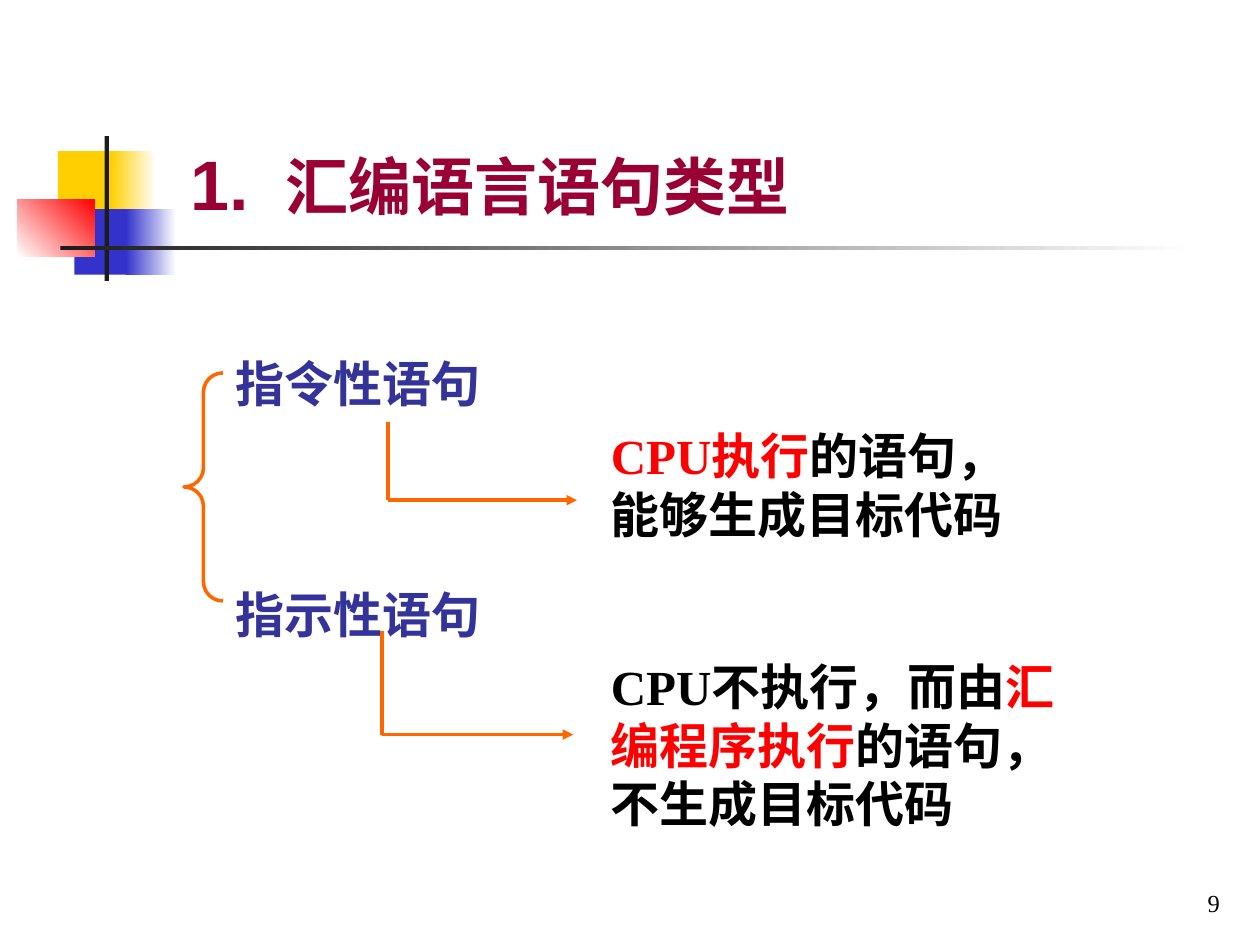
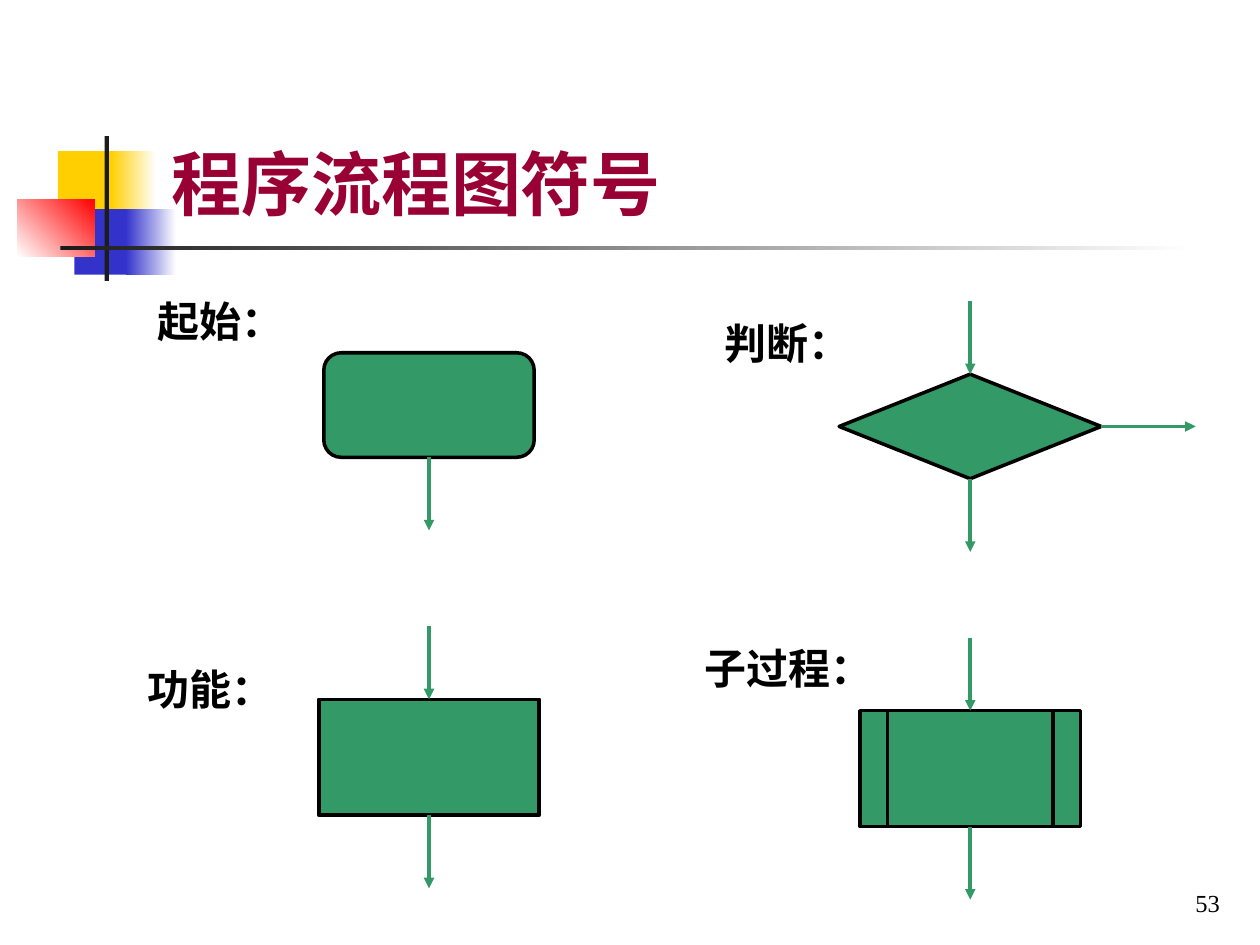
from lxml import etree
from pptx import Presentation
from pptx import util as u
from pptx.dml import color
from pptx.enum import shapes, text
from pptx.oxml import ns

# Grid: 100 columns by 75 rows on a 10 x 7.5 inch slide
CELL = u.Inches(0.1)
TITLE_COLOR, HEADING, KEYWORD = "990033", "333399", "FF0000"
BLACK, WHITE, INK = "000000", "FFFFFF", "1C1C1C"
ORANGE, GREEN, YELLOW, BLUE = "FF6600", "339966", "FFCF01", "3333CC"
SANS, SERIF = "Arial", "Times New Roman"
LINE_WIDTH = u.Pt(2)
ARROW_ROWS = 5.8

# left, top, width, height, colours from start to end, angle
DECORATION = [
    (4.6, 12, 4.8, 5.2, [YELLOW], 0),
    (8.8, 12, 3.6, 5.2, [YELLOW, WHITE], 0),
    (5.9, 16.6, 4.6, 5.2, [BLUE], 0),
    (10, 16.6, 4, 5.2, [BLUE, WHITE], 0),
    (1.4, 15.8, 6.1, 4.6, [WHITE, KEYWORD], 45),
    (8.3, 10.8, 0.35, 11.5, [INK], 0),
    (4.8, 19.5, 90, 0.35, [INK, WHITE], 0),
]


def rgb(value):
    return color.RGBColor.from_string(value)


def cells(*values):
    return [round(value * CELL) for value in values]


def add_box(slide, kind, place, colors=(), angle=0, outline=None):
    """Preset shape with no, a plain or a two-colour fill."""
    shape = slide.shapes.add_shape(kind, *cells(*place))
    shape.shadow.inherit = False
    if not colors:
        shape.fill.background()
    elif len(colors) == 1:
        shape.fill.solid()
        shape.fill.fore_color.rgb = rgb(colors[0])
    else:
        shape.fill.gradient()
        shape.fill.gradient_angle = angle
        for stop, value in zip(shape.fill.gradient_stops, colors):
            stop.color.rgb = rgb(value)
    if outline:
        shape.line.color.rgb = rgb(outline)
        shape.line.width = LINE_WIDTH
    else:
        shape.line.fill.background()
    return shape


def add_line(slide, start, end, line_color, arrow=True):
    line = slide.shapes.add_connector(
        shapes.MSO_CONNECTOR.STRAIGHT, *cells(*start, *end))
    line.line.color.rgb = rgb(line_color)
    line.line.width = LINE_WIDTH
    if arrow:
        outline = line.line._get_or_add_ln()
        etree.SubElement(outline, ns.qn("a:tailEnd"), type="triangle")
    etree.SubElement(line._element.spPr, ns.qn("a:effectLst"))
    return line


def style(paragraph, size, font_name, font_color=BLACK, bold=True):
    font = paragraph.font
    font.size, font.name, font.bold = u.Pt(size), font_name, bold
    font.color.rgb = rgb(font_color)


def add_text(slide, place, runs, size, bold=True):
    """Serif text box; runs are (words, colour) pairs."""
    frame = slide.shapes.add_textbox(*cells(*place)).text_frame
    frame.word_wrap = True
    paragraph = frame.paragraphs[0]
    style(paragraph, size, SERIF, bold=bold)
    for words, run_color in runs:
        run = paragraph.add_run()
        run.text = words
        run.font.color.rgb = rgb(run_color)
    return frame


def add_slide(presentation, title_place, title, number, prefix=None):
    """Title-only slide with the shared decoration and page number."""
    slide = presentation.slides.add_slide(presentation.slide_layouts[5])
    for *place, colors, angle in DECORATION:
        add_box(slide, shapes.MSO_SHAPE.RECTANGLE, place, colors, angle)

    # Title
    heading = slide.shapes.title
    heading.left, heading.top, heading.width, heading.height = cells(*title_place)
    frame = heading.text_frame
    frame.word_wrap = True
    frame.auto_size = text.MSO_AUTO_SIZE.NONE
    frame.vertical_anchor = text.MSO_ANCHOR.BOTTOM
    paragraph = frame.paragraphs[0]
    paragraph.alignment = text.PP_ALIGN.LEFT
    if prefix:
        tabs = etree.SubElement(paragraph._p.get_or_add_pPr(), ns.qn("a:tabLst"))
        etree.SubElement(tabs, ns.qn("a:tab"), pos=str(u.Inches(0.76)), algn="l")
        paragraph.add_run().text = prefix + "\t"
    style(paragraph, 40, SANS, TITLE_COLOR)
    run = paragraph.add_run()
    run.text = title
    if prefix:
        run.font.size = u.Pt(36)

    # Page number
    footer = add_text(slide, (77, 68.3, 20.8, 5), [(number, BLACK)], 14, bold=False)
    footer.vertical_anchor = text.MSO_ANCHOR.BOTTOM
    footer.paragraphs[0].alignment = text.PP_ALIGN.RIGHT
    return slide


def add_bent_arrow(slide, left, top, bottom, right):
    add_line(slide, (left, top), (left, bottom), ORANGE, arrow=False)
    add_line(slide, (left, bottom), (right, bottom), ORANGE)


def add_symbol(slide, kind, center, top, width, height, sides):
    """Flowchart symbol with arrows at the named sides."""
    symbol = add_box(slide, kind, (center - width / 2, top, width, height),
                     [GREEN], outline=BLACK)
    bottom, right, middle = top + height, center + width / 2, top + height / 2
    if "in" in sides:
        arrow = add_line(slide, (center, top - ARROW_ROWS), (center, top), GREEN)
        arrow.end_connect(symbol, 0)
    if "out" in sides:
        arrow = add_line(slide, (center, bottom), (center, bottom + ARROW_ROWS), GREEN)
        arrow.begin_connect(symbol, 2)
    if "branch" in sides:
        arrow = add_line(slide, (right, middle), (94.9, middle), GREEN)
        arrow.begin_connect(symbol, 3)


def build_statement_types(presentation):
    slide = add_slide(presentation, (14.1, 9.1, 69.7, 9.2),
                      "汇编语言语句类型", "9", prefix="1.")

    # Two kinds of statement
    frame = slide.shapes.add_textbox(*cells(17.7, 27.1, 30.8, 31.7)).text_frame
    frame.word_wrap = True
    for index, words in enumerate(("指令性语句", "指示性语句")):
        paragraph = frame.add_paragraph() if index else frame.paragraphs[0]
        paragraph.text = words
        paragraph.line_spacing = 1.1
        if index:
            paragraph.space_before = u.Pt(95)
        style(paragraph, 28, SANS, HEADING)

    # Explanations
    add_text(slide, (47.5, 33.3, 34.2, 15),
             [("CPU执行", KEYWORD), ("的语句，能够生成目标代码", BLACK)], 28)
    add_text(slide, (47.5, 51.6, 37.5, 15),
             [("CPU不执行，而由", BLACK), ("汇编程序执行", KEYWORD),
              ("的语句，不生成目标代码", BLACK)], 28)

    # Brace and arrows
    brace = add_box(slide, shapes.MSO_SHAPE.LEFT_BRACE, (14.6, 29.6, 3.1, 18.1),
                    outline=ORANGE)
    brace.adjustments[0] = 0.49
    add_bent_arrow(slide, 30.8, 33.5, 39.7, 45.8)
    add_bent_arrow(slide, 30.3, 50.1, 58.3, 45.5)


def build_flowchart_symbols(presentation):
    slide = add_slide(presentation, (12.6, 2.3, 85.2, 16), "程序流程图符号", "53")
    kinds = shapes.MSO_SHAPE
    left, right = 34.05, 77

    # Symbols
    add_symbol(slide, kinds.FLOWCHART_ALTERNATE_PROCESS, left, 28, 16.7, 8.3, ["out"])
    add_symbol(slide, kinds.RECTANGLE, left, 55.5, 17.5, 9.2, ["in", "out"])
    add_symbol(slide, kinds.FLOWCHART_DECISION, right, 29.7, 20.8, 8.3,
               ["in", "out", "branch"])
    add_symbol(slide, kinds.FLOWCHART_PREDEFINED_PROCESS, right, 56.4, 17.5, 9.2,
               ["in", "out"])

    # Labels
    for words, label_left, top, width in (
            ("起始：", 11.5, 23, 12.5), ("功能：", 10.7, 52.2, 12.5),
            ("判断：", 56.5, 24.7, 12.5), ("子过程：", 54.9, 50.5, 16.7)):
        add_text(slide, (label_left, top, width, 5), [(words, BLACK)], 24)


def main():
    presentation = Presentation()
    presentation.slide_width, presentation.slide_height = cells(100, 75)
    build_statement_types(presentation)
    build_flowchart_symbols(presentation)
    presentation.save("out.pptx")


if __name__ == "__main__":
    main()
